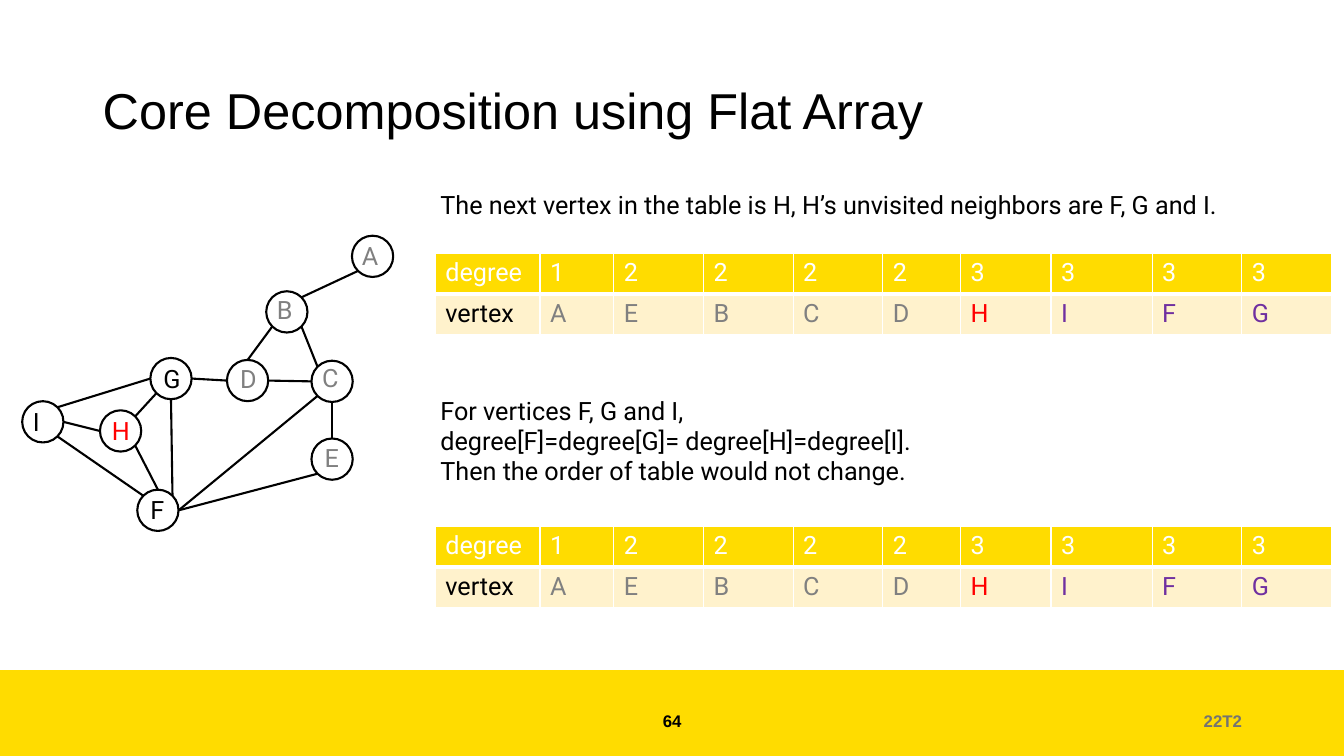
import math
import pptx
import pptx.util
import pptx.dml.color
import pptx.enum.shapes
import pptx.enum.text
import lxml.etree
import pptx.oxml.ns

Cm, Pt = pptx.util.Cm, pptx.util.Pt
ALIGN, ANCHOR = pptx.enum.text.PP_ALIGN, pptx.enum.text.MSO_ANCHOR
SHAPE = pptx.enum.shapes.MSO_SHAPE
qn = pptx.oxml.ns.qn
BLACK, WHITE, GREY, RED, PURPLE = "000000", "FFFFFF", "808080", "FF0000", "7030A0"
YELLOW, CREAM = "FFDC00", "FFF2CC"


def rgb(value):
    return pptx.dml.color.RGBColor.from_string(value)


def write(tf, text, size=18, font="Roboto", color=BLACK, bold=False,
          align=ALIGN.LEFT, anchor=ANCHOR.TOP, spacing=None):
    tf.word_wrap = True
    tf.vertical_anchor = anchor
    for i, line in enumerate(text.split("\n")):
        p = tf.paragraphs[0] if i == 0 else tf.add_paragraph()
        p.alignment = align
        p.line_spacing = spacing
        r = p.add_run()
        r.text = line
        r.font.size = Pt(size)
        r.font.name = font
        r.font.bold = bold
        r.font.color.rgb = rgb(color)


prs = pptx.Presentation()
prs.slide_width, prs.slide_height = Cm(33.87), Cm(19.05)
s = prs.slides.add_slide(prs.slide_layouts[6])

band = s.shapes.add_shape(SHAPE.RECTANGLE, Cm(0), Cm(16.89), Cm(33.87), Cm(2.16))
band.shadow.inherit = False
band.fill.solid()
band.fill.fore_color.rgb = rgb(YELLOW)
band.line.fill.background()

# name: centre x, centre y, label shift x, label shift y, colour
vertices = {
    "A": (9.39, 6.46, 0, 0, GREY),
    "B": (7.23, 7.86, 0.02, -0.05, GREY),
    "C": (8.37, 9.61, 0.02, -0.08, GREY),
    "D": (6.24, 9.59, 0.08, -0.03, GREY),
    "E": (8.37, 11.57, 0.08, -0.03, GREY),
    "F": (3.98, 12.86, 0.08, 0, BLACK),
    "G": (4.31, 9.54, 0.08, 0, BLACK),
    "H": (3.04, 10.86, 0.05, 0, RED),
    "I": (1.08, 10.63, 0.02, 0, BLACK),
}
radius = 0.52
angles = {side: math.radians(45 * i)
          for i, side in enumerate(["E", "SE", "S", "SW", "W", "NW", "N", "NE"])}
edges = [
    ("A", "SW", "B", "NE"), ("B", "SW", "D", "N"), ("B", "SE", "C", "NW"),
    ("C", "W", "D", "E"), ("G", "E", "D", "W"), ("C", "S", "E", "N"),
    ("C", "SW", "F", "E"), ("E", "SW", "F", "E"), ("I", "SE", "F", "NW"),
    ("G", "S", "F", "NE"), ("G", "W", "I", "NE"), ("G", "SW", "H", "NE"),
    ("H", "W", "I", "E"), ("H", "SE", "F", "N"),
]
for start, start_side, end, end_side in edges:
    points = []
    for name, side in ((start, start_side), (end, end_side)):
        x, y = vertices[name][:2]
        points += [Cm(x + radius * math.cos(angles[side])),
                   Cm(y + radius * math.sin(angles[side]))]
    edge = s.shapes.add_connector(pptx.enum.shapes.MSO_CONNECTOR.STRAIGHT, *points)
    edge.line.color.rgb = rgb(BLACK)
    edge.line.width = Pt(1.5)
    lxml.etree.SubElement(edge._element.spPr, qn("a:effectLst"))

for name, (x, y, dx, dy, color) in vertices.items():
    left, top = x - radius, y - radius
    sp = s.shapes.add_shape(SHAPE.OVAL, Cm(left), Cm(top), Cm(2 * radius), Cm(2 * radius))
    sp.shadow.inherit = False
    sp.fill.solid()
    sp.fill.fore_color.rgb = rgb(WHITE)
    sp.line.color.rgb = rgb(BLACK)
    sp.line.width = Pt(1.5)
    label = s.shapes.add_textbox(Cm(left + dx), Cm(top + dy), Cm(1.04), Cm(1.02))
    write(label.text_frame, name, color=color)

texts = [
    ((2.34, 1.02, 29.21, 3.68), "Core Decomposition using Flat Array",
     dict(size=36, font="Arial", anchor=ANCHOR.MIDDLE, spacing=0.9)),
    ((10.85, 4.65, 22.38, 1.02),
     "The next vertex in the table is H, H’s unvisited neighbors are F, G and I.", {}),
    ((10.85, 9.83, 16.92, 2.57),
     "For vertices F, G and I,\ndegree[F]=degree[G]= degree[H]=degree[I].\n"
     "Then the order of table would not change.", {}),
    ((13.13, 17.65, 7.62, 1.02), "64",
     dict(size=12, font="Arial", bold=True, align=ALIGN.CENTER, anchor=ANCHOR.MIDDLE)),
    ((20.12, 17.65, 11.43, 1.02), "22T2",
     dict(size=12, font="Arial", bold=True, color="737373", align=ALIGN.RIGHT,
          anchor=ANCHOR.MIDDLE)),
]
for box, text, style in texts:
    tb = s.shapes.add_textbox(*map(Cm, box))
    write(tb.text_frame, text, **style)

widths = [2.64, 1.86, 2.26, 2.26, 2.26, 1.96, 2.28, 2.55, 2.26, 2.26]
rows = [["degree", *"122223333"], ["vertex", *"AEBCDHIFG"]]
vertex_colors = [BLACK] + [GREY] * 5 + [RED] + [PURPLE] * 3
row_styles = [(YELLOW, [WHITE] * 10, 3), (CREAM, vertex_colors, 1)]
for top in (6.38, 13.26):
    table = s.shapes.add_table(2, 10, Cm(10.97), Cm(top), Cm(sum(widths)), Cm(2.04)).table
    for column, width in zip(table.columns, widths):
        column.width = Cm(width)
    for i, (values, (fill, colors, bottom)) in enumerate(zip(rows, row_styles)):
        for j, (value, color) in enumerate(zip(values, colors)):
            cell = table.cell(i, j)
            tcPr = cell._tc.get_or_add_tcPr()
            for side, width in (("L", 1), ("R", 1), ("T", 1), ("B", bottom)):
                ln = lxml.etree.SubElement(tcPr, qn("a:ln" + side), w=str(Pt(width)))
                solid = lxml.etree.SubElement(ln, qn("a:solidFill"))
                lxml.etree.SubElement(solid, qn("a:srgbClr"), val=WHITE)
            cell.fill.solid()
            cell.fill.fore_color.rgb = rgb(fill)
            write(cell.text_frame, value, color=color)

prs.save("out.pptx")
